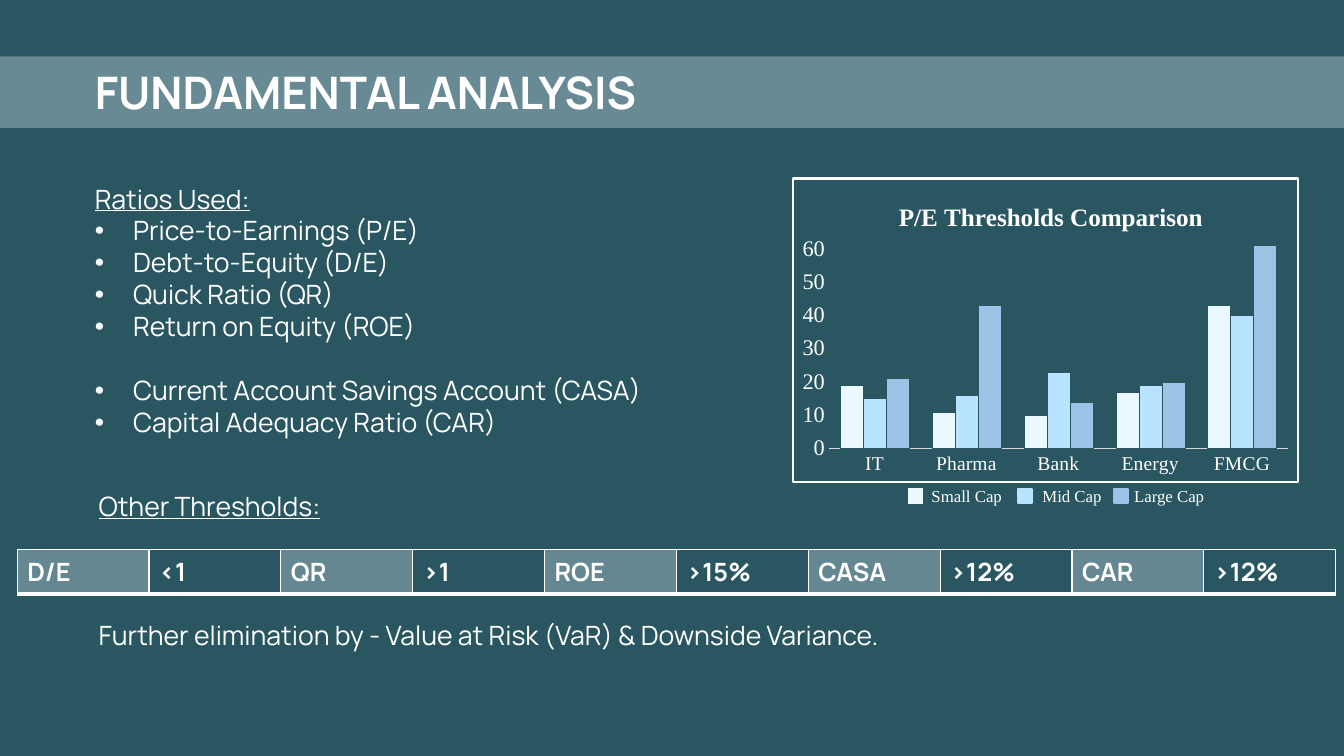
"""Build the fundamental analysis slide."""
from dataclasses import dataclass

from lxml import etree
from pptx import Presentation
from pptx import util as u
from pptx.chart.data import CategoryChartData
from pptx.dml.color import RGBColor
from pptx.enum import chart as ch, shapes, text
from pptx.oxml import parse_xml
from pptx.oxml.ns import nsdecls, qn


@dataclass(frozen=True)
class Theme:
    """Colours, fonts and type sizes."""
    back: str = "295661"
    band: str = "DEEBF7"
    key: str = "648792"
    ink: str = "FFFFFF"
    axis: str = "D9D9D9"
    caps: tuple = ("EBF8FF", "B9E4FF", "9DC3E6")
    sans: str = "Manrope"
    serif: str = "Times New Roman"
    head: int = 32
    body: int = 19
    cell: int = 18
    title: int = 18
    value: int = 16
    label: int = 14
    small: int = 12


T = Theme()
WIDE, HIGH = u.Inches(13.33), u.Inches(7.5)
INDENT = u.Inches(0.38)
RATIOS = ["Price-to-Earnings (P/E)", "Debt-to-Equity (D/E)", "Quick Ratio (QR)",
          "Return on Equity (ROE)", "Current Account Savings Account (CASA)",
          "Capital Adequacy Ratio (CAR)"]
SECTORS = ["IT", "Pharma", "Bank", "Energy", "FMCG"]
LEVELS = [(19, 11, 10, 17, 43), (15, 16, 23, 19, 40), (21, 43, 14, 20, 61)]
LEGEND = [("Small Cap", 67.58, 68.57), ("Mid Cap", 75.75, 76.82),
          ("Large Cap", 82.88, 83.65)]
LIMITS = ["D/E", "<1", "QR", ">1", "ROE", ">15%"]
BANKS = ["CASA", ">12%", "CAR", ">12%"]
STEP = 9.81


def rgb(code):
    """Turn a hex code into a colour."""
    return RGBColor.from_string(code)


def grid(x, y, w, h):
    """Turn hundredths of the slide into a left, top, width, height box."""
    return (round(WIDE * x / 100), round(HIGH * y / 100),
            round(WIDE * w / 100), round(HIGH * h / 100))


def style(font, size, face=T.sans, bold=False, under=False):
    """Format a font in the ink colour."""
    font.size, font.name = u.Pt(size), face
    font.bold, font.underline = bold, under
    font.color.rgb = rgb(T.ink)


def write(para, words, size=T.body, bullet=False, before=0, **form):
    """Write one formatted paragraph."""
    run = para.add_run()
    run.text = words
    style(run.font, size, **form)
    para.alignment = text.PP_ALIGN.LEFT
    para.line_spacing, para.space_before = 1.0, u.Pt(before)
    props = para._p.get_or_add_pPr()
    props.set("marL", str(INDENT if bullet else 0))
    props.set("indent", str(-INDENT if bullet else 0))
    mark = etree.SubElement(props, qn("a:buChar" if bullet else "a:buNone"))
    if bullet:
        mark.set("char", "•")


def frame(shape, box):
    """Move a text shape and return its frame, set to wrap from the top."""
    shape.left, shape.top, shape.width, shape.height = box
    area = shape.text_frame
    area.word_wrap = True
    area.auto_size = text.MSO_AUTO_SIZE.NONE
    area.vertical_anchor = text.MSO_ANCHOR.TOP
    return area


def note(slide, words, box, **form):
    """Add a one-paragraph text box."""
    area = frame(slide.shapes.add_textbox(*box), box)
    write(area.paragraphs[0], words, **form)


def block(slide, box, color):
    """Add a plain filled rectangle."""
    shape = slide.shapes.add_shape(shapes.MSO_SHAPE.RECTANGLE, *box)
    shape.shadow.inherit = False
    shape.fill.solid()
    shape.fill.fore_color.rgb = rgb(color)
    shape.line.fill.background()
    return shape


def band(slide):
    """Add the translucent heading band behind the title."""
    shape = block(slide, grid(0, 7.47, 100, 9.47), T.band)
    color = next(shape.element.iter(qn("a:srgbClr")))
    etree.SubElement(color, qn("a:alpha")).set("val", "35000")
    shape.element.getparent().insert(2, shape.element)


def ratios(slide):
    """Fill the body with the list of ratios."""
    area = frame(slide.placeholders[1], grid(6.3, 23.47, 45.08, 39.73))
    write(area.paragraphs[0], "Ratios Used:", under=True)
    for name in RATIOS:
        gap = 23 if "CASA" in name else 0
        write(area.add_paragraph(), name, bullet=True, before=gap)


def strip(slide, items, left):
    """Add a one-row table with shaded names and plain limits."""
    box = grid(left, 72.67, STEP * len(items), 5.47)
    table = slide.shapes.add_table(1, len(items), *box).table
    table.first_row = table.horz_banding = False
    for i, item in enumerate(items):
        table.columns[i].width = round(box[2] / len(items))
        cell = table.cell(0, i)
        write(cell.text_frame.paragraphs[0], item, size=T.cell, bold=True)
        if i % 2:
            cell.fill.background()
        else:
            cell.fill.solid()
            cell.fill.fore_color.rgb = rgb(T.key)
        props = cell._tc.get_or_add_tcPr()
        for k, (side, width) in enumerate(zip("LRTB", (1, 1, 1, 3))):
            props.insert(k, parse_xml(
                f'<a:ln{side} {nsdecls("a")} w="{u.Pt(width)}"><a:solidFill>'
                f'<a:srgbClr val="{T.ink}"/></a:solidFill></a:ln{side}>'))


def place(host, spot, inner=False, **share):
    """Set a manual layout, in shares of the chart, on a chart part."""
    for old in host.findall(qn("c:layout")):
        host.remove(old)
    aim = '<c:layoutTarget val="inner"/>' if inner else ""
    modes = "".join(f'<c:{k}Mode val="edge"/>' for k in "xy")
    sizes = "".join(f'<c:{k} val="{v}"/>' for k, v in share.items())
    host.insert(spot, parse_xml(
        f'<c:layout {nsdecls("c")}><c:manualLayout>{aim}{modes}{sizes}'
        '</c:manualLayout></c:layout>'))


def border(chart):
    """Outline the chart area without a fill."""
    chart._chartSpace.find(qn("c:chart")).addnext(parse_xml(
        f'<c:spPr {nsdecls("c", "a")}><a:noFill/><a:ln w="{u.Pt(1.5)}">'
        f'<a:solidFill><a:srgbClr val="{T.ink}"/></a:solidFill></a:ln></c:spPr>'))


def axes(chart):
    """Format both axes."""
    for axis, size in ((chart.category_axis, T.label), (chart.value_axis, T.value)):
        axis.major_tick_mark = axis.minor_tick_mark = ch.XL_TICK_MARK.NONE
        axis.has_major_gridlines = False
        style(axis.tick_labels.font, size, face=T.serif)
    line = chart.category_axis.format.line
    line.color.rgb, line.width = rgb(T.axis), u.Pt(0.75)
    value = chart.value_axis
    value.format.line.fill.background()
    value.minimum_scale, value.maximum_scale, value.major_unit = 0, 62, 10


def bars(slide):
    """Add the clustered columns of thresholds by sector."""
    data = CategoryChartData()
    data.categories = SECTORS
    for (name, *_), row in zip(LEGEND, LEVELS):
        data.add_series(name, row)
    chart = slide.shapes.add_chart(ch.XL_CHART_TYPE.COLUMN_CLUSTERED,
                                   *grid(58.95, 23.47, 37.73, 40.4), data).chart
    style(chart.font, 10, face=T.serif)
    border(chart)
    chart.has_legend = False
    run = chart.chart_title.text_frame.paragraphs[0].add_run()
    run.text = "P/E Thresholds Comparison"
    style(run.font, T.title, face=T.serif, bold=True)
    space = chart._chartSpace
    place(next(space.iter(qn("c:title"))), 1, x=0.2, y=0.06)
    place(next(space.iter(qn("c:plotArea"))), 0, inner=True,
          x=0.07, y=0.21, w=0.91, h=0.68)
    axes(chart)
    plot = chart.plots[0]
    plot.gap_width, plot.overlap, plot.vary_by_categories = 100, 0, False
    for series, color in zip(plot.series, T.caps):
        series.format.fill.solid()
        series.format.fill.fore_color.rgb = rgb(color)
        series.format.line.color.rgb = rgb(T.back)
        series.format.line.width = u.Pt(0.25)


def main():
    """Compose and save the slide."""
    deck = Presentation()
    deck.slide_width, deck.slide_height = WIDE, HIGH
    slide = deck.slides.add_slide(deck.slide_layouts[1])
    slide.background.fill.solid()
    slide.background.fill.fore_color.rgb = rgb(T.back)
    band(slide)
    head = frame(slide.shapes.title, grid(6.3, 7.87, 58.35, 8.53))
    write(head.paragraphs[0], "FUNDAMENTAL ANALYSIS", size=T.head, bold=True)
    ratios(slide)
    bars(slide)
    for (name, x, tag), color in zip(LEGEND, T.caps):
        mark = block(slide, grid(x, 64.67, 1.05, 1.87), color)
        mark.line.color.rgb, mark.line.width = rgb(color), u.Pt(1)
        note(slide, name, grid(tag, 63.6, 6.9, 4), size=T.small, face=T.serif)
    strip(slide, LIMITS, 1.28)
    strip(slide, BANKS, 1.28 + STEP * len(LIMITS))
    note(slide, "Other Thresholds:", grid(6.6, 64.13, 45.08, 5.6), under=True)
    note(slide, "Further elimination by - Value at Risk (VaR) & Downside Variance.",
         grid(6.6, 81.2, 93.4, 10.27))
    deck.save("out.pptx")


if __name__ == "__main__":
    main()
